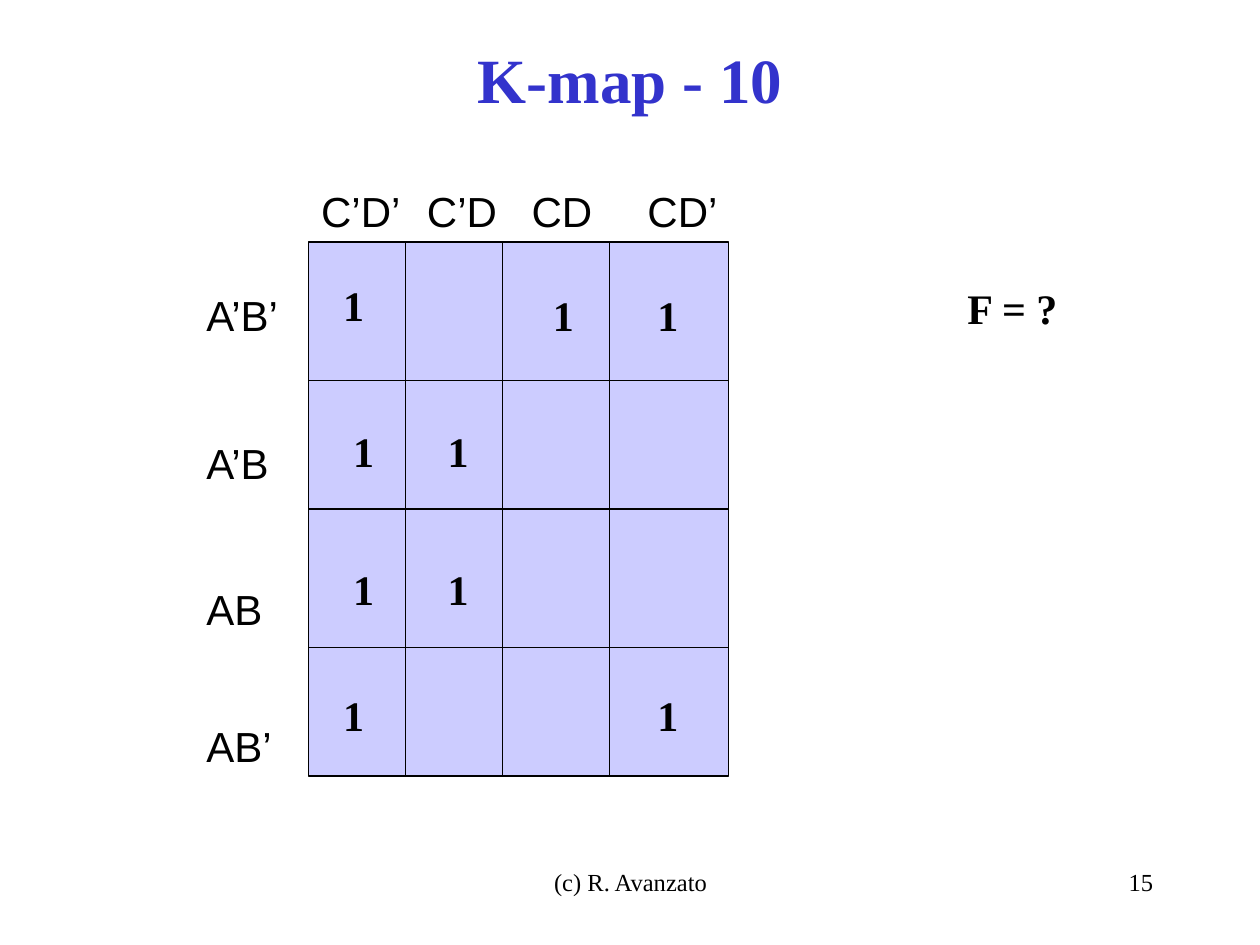
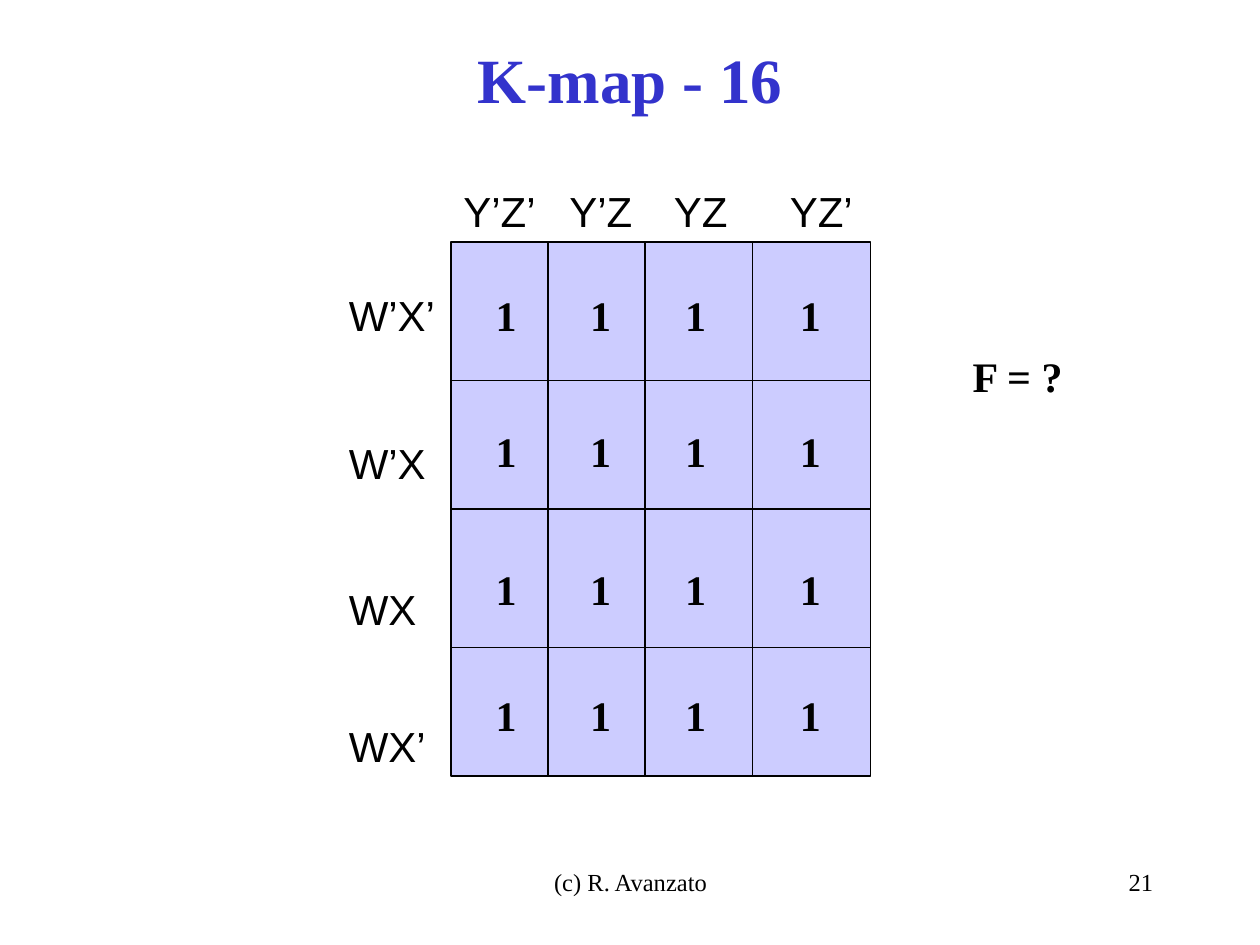
from dataclasses import dataclass

from lxml import etree
from pptx import Presentation, util as u
from pptx.dml.color import RGBColor
from pptx.enum import shapes, text
from pptx.oxml.ns import qn


@dataclass(frozen=True)
class Theme:
    title_color: str = "3333CC"
    cell_color: str = "CCCCFF"
    ink: str = "000000"
    serif: str = "Times New Roman"
    sans: str = "Arial"
    title_size: int = 36
    map_size: int = 24
    footer_size: int = 14
    line_width: float = 0.75


THEME = Theme()
TITLE_ONLY = 5

GRID_COLUMNS, GRID_ROWS = 100, 75
UNIT = u.Inches(10) // GRID_COLUMNS

MAP_TOP, MAP_WIDTH, HALF_HEIGHT = 19.2, 33.3, 21.2
COLUMN_DIVIDERS = (7.7, 15.4, 23.9)
ROW_DIVIDER = 11
HEADER_TOP, HEADER_COLUMNS = 14.2, (0, 8.4, 16.7, 25.9)
ROW_LABEL_COLUMN, ROW_LABEL_TOPS = -9.1, (22.5, 34.2, 45.8, 56.7)
ONE_COLUMNS, ONE_TOPS = (2.55, 10.05, 17.6, 26.7), (22.5, 33.3, 44.2, 54.2)
LABEL_HEIGHT, ONE_WIDTH, QUESTION_WIDTH = 5, 3.6, 9.2
LETTER_WIDTHS = {"C": 2.4, "D": 2.4, "W": 3.15, "Z": 2.04, "’": 0.74}
OTHER_LETTER_WIDTH, SIDE_INSETS = 2.22, 2


def grid(*lengths):
    return [u.Emu(round(length * UNIT)) for length in lengths]


def color(code):
    return RGBColor.from_string(code)


def format_paragraph(paragraph, size, face=THEME.serif, bold=False, ink=THEME.ink,
                     align=text.PP_ALIGN.LEFT):
    paragraph.alignment = align
    font = paragraph.font
    font.name, font.size, font.bold = face, u.Pt(size), bold
    font.color.rgb = color(ink)


def add_text(slide, words, left, top, width, wrap=False, **style):
    box = slide.shapes.add_textbox(*grid(left, top, width, LABEL_HEIGHT))
    frame = box.text_frame
    frame.word_wrap = wrap
    frame.auto_size = text.MSO_AUTO_SIZE.NONE if wrap else text.MSO_AUTO_SIZE.SHAPE_TO_FIT_TEXT
    frame.text = words
    format_paragraph(frame.paragraphs[0], **style)


def add_label(slide, words, left, top):
    width = SIDE_INSETS + sum(LETTER_WIDTHS.get(c, OTHER_LETTER_WIDTH) for c in words)
    add_text(slide, words, left, top, width, size=THEME.map_size, face=THEME.sans)


def add_bold(slide, words, left, top, width):
    add_text(slide, words, left, top, width, size=THEME.map_size, bold=True)


def format_line(line):
    line.color.rgb = color(THEME.ink)
    line.width = u.Pt(THEME.line_width)


def add_divider(half, *ends):
    divider = half.shapes.add_connector(shapes.MSO_CONNECTOR.STRAIGHT, *grid(*ends))
    format_line(divider.line)
    etree.SubElement(divider._element.spPr, qn("a:effectLst"))


def add_half(slide, left, top):
    half = slide.shapes.add_group_shape()
    field = half.shapes.add_shape(shapes.MSO_SHAPE.RECTANGLE,
                                  *grid(left, top, MAP_WIDTH, HALF_HEIGHT))
    field.shadow.inherit = False
    field.fill.solid()
    field.fill.fore_color.rgb = color(THEME.cell_color)
    format_line(field.line)
    middle = top + ROW_DIVIDER
    add_divider(half, left, middle, left + MAP_WIDTH, middle)
    for column in COLUMN_DIVIDERS:
        add_divider(half, left + column, top, left + column, top + HALF_HEIGHT)


def add_kmap(slide, left, headers, row_labels, rows, nudges):
    for words, column in zip(headers, HEADER_COLUMNS):
        add_label(slide, words, left + column, HEADER_TOP)
    for half in range(2):
        add_half(slide, left, MAP_TOP + half * HALF_HEIGHT)
    for words, top in zip(row_labels, ROW_LABEL_TOPS):
        add_label(slide, words, left + ROW_LABEL_COLUMN, top)
    for row, cells in enumerate(rows):
        for column, value in enumerate(cells):
            if value == "1":
                right, down = nudges.get((row, column), (0, 0))
                add_bold(slide, value, left + ONE_COLUMNS[column] + right,
                         ONE_TOPS[row] + down, ONE_WIDTH)


def add_title(slide, words):
    title = slide.shapes.title
    title.left, title.top, title.width, title.height = grid(7.5, 0, 85, 12.5)
    frame = title.text_frame
    frame.text = words
    frame.auto_size = text.MSO_AUTO_SIZE.NONE
    frame.vertical_anchor = text.MSO_ANCHOR.MIDDLE
    format_paragraph(frame.paragraphs[0], THEME.title_size, bold=True,
                     ink=THEME.title_color, align=text.PP_ALIGN.CENTER)


def add_footer(slide, number):
    add_text(slide, "(c) R. Avanzato", 34.2, 68.3, 31.7, wrap=True,
             size=THEME.footer_size, align=text.PP_ALIGN.CENTER)
    add_text(slide, number, 71.7, 68.3, 20.8, wrap=True,
             size=THEME.footer_size, align=text.PP_ALIGN.RIGHT)


def add_kmap_slide(deck, title, number, question_at, **kmap):
    slide = deck.slides.add_slide(deck.slide_layouts[TITLE_ONLY])
    add_title(slide, title)
    add_footer(slide, number)
    add_kmap(slide, **kmap)
    add_bold(slide, "F = ?", *question_at, QUESTION_WIDTH)


def main():
    deck = Presentation()
    deck.slide_width, deck.slide_height = grid(GRID_COLUMNS, GRID_ROWS)
    add_kmap_slide(deck, "K-map - 10", "15", (75.8, 21.9), left=24.5,
                   headers=("C’D’", "C’D", "CD", "CD’"),
                   row_labels=("A’B’", "A’B", "AB", "AB’"),
                   rows=("1011", "1100", "1100", "1001"),
                   nudges={(0, 0): (-0.8, -0.8), (0, 2): (0.8, 0), (3, 0): (-0.8, 0)})
    add_kmap_slide(deck, "K-map - 16", "21", (76.2, 27.3), left=35.8,
                   headers=("Y’Z’", "Y’Z", "YZ", "YZ’"),
                   row_labels=("W’X’", "W’X", "WX", "WX’"),
                   rows=("1111",) * 4, nudges={})
    deck.save("out.pptx")


if __name__ == "__main__":
    main()
